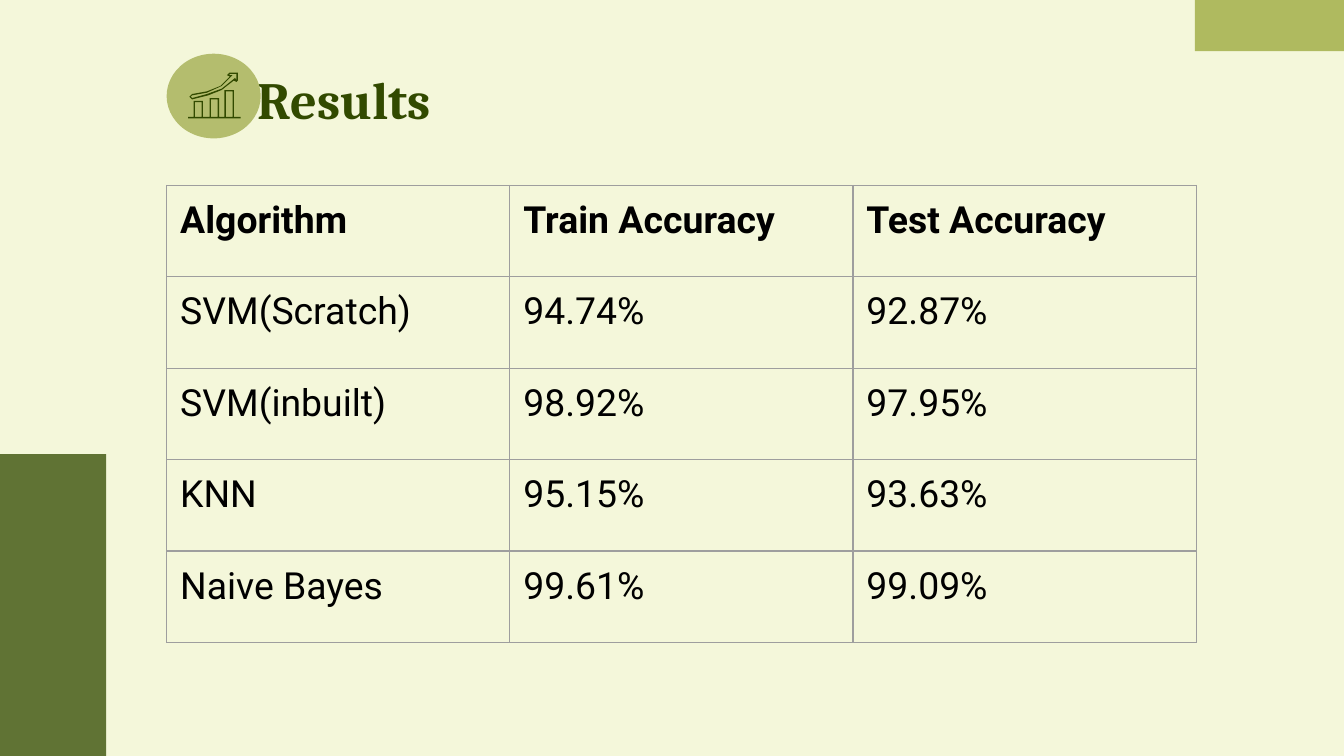
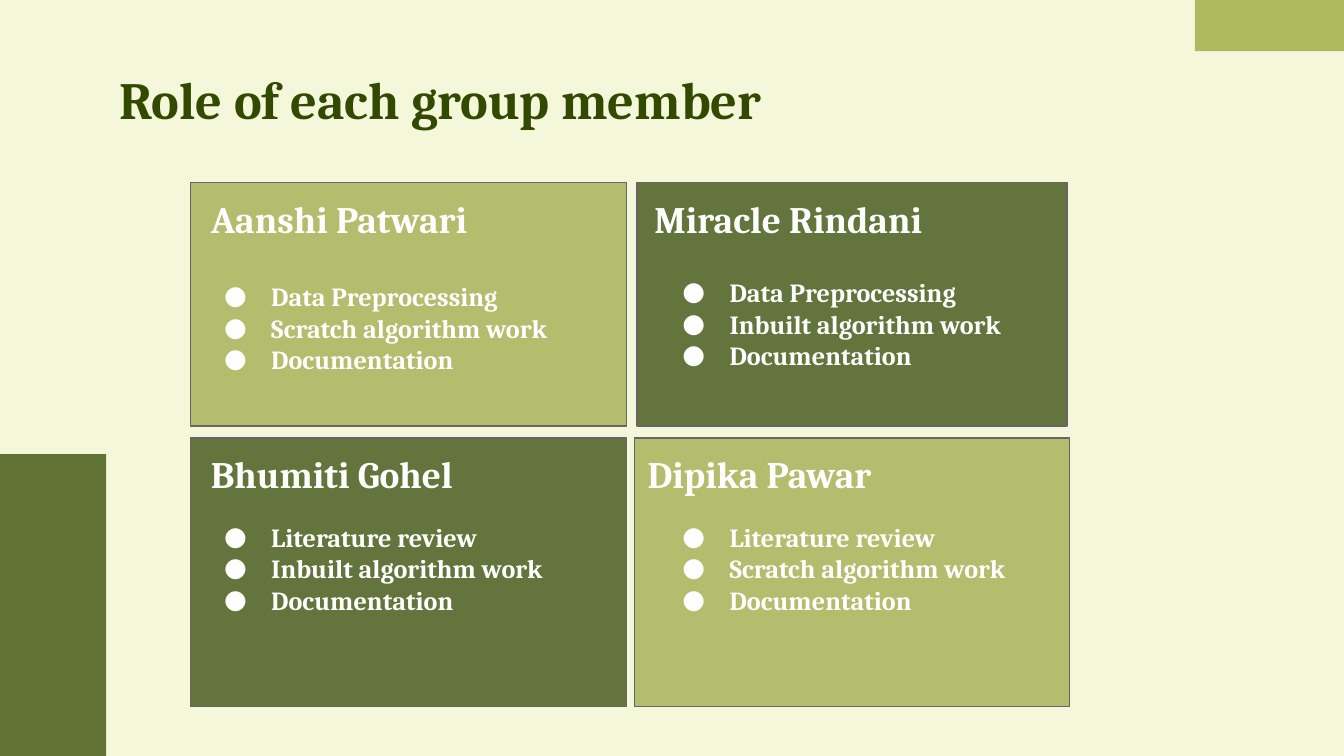
from lxml import etree
from pptx import Presentation
from pptx.dml.color import RGBColor
from pptx.enum.shapes import MSO_SHAPE
from pptx.oxml.ns import qn
from pptx.util import Inches, Pt

RECTANGLE, OVAL = MSO_SHAPE.RECTANGLE, MSO_SHAPE.OVAL

CREAM = RGBColor(0xF4, 0xF7, 0xDA)
DARK_GREEN = RGBColor(0x32, 0x4A, 0x00)
OLIVE = RGBColor(0x7C, 0x8C, 0x03)
LIGHT_CARD = RGBColor(0xB4, 0xBD, 0x6E)
DARK_CARD = RGBColor(0x63, 0x75, 0x3C)
CARD_LINE = RGBColor(0x66, 0x66, 0x66)
TABLE_LINE = RGBColor(0x9E, 0x9E, 0x9E)
WHITE = RGBColor(0xFF, 0xFF, 0xFF)
BLACK = RGBColor(0, 0, 0)

SERIF, SANS = "Cambria", "Roboto"
INSET = Inches(0.1)
PAGE_WIDTH = Inches(10)
PAGE_HEIGHT = PAGE_WIDTH * 9 // 16

RESULTS = [
    ("Algorithm", "Train Accuracy", "Test Accuracy"),
    ("SVM(Scratch)", "94.74%", "92.87%"),
    ("SVM(inbuilt)", "98.92%", "97.95%"),
    ("KNN", "95.15%", "93.63%"),
    ("Naive Bayes", "99.61%", "99.09%"),
]

# Each member: card frame, colour, left of name, left and top of tasks
MEMBERS = [
    ("Aanshi Patwari", (1.42, 1.36, 3.24, 1.81), LIGHT_CARD, 1.47, (1.42, 1.99),
     ("Data Preprocessing", "Scratch algorithm work", "Documentation")),
    ("Miracle Rindani", (4.74, 1.36, 3.2, 1.81), DARK_CARD, 4.77, (4.83, 1.96),
     ("Data Preprocessing", "Inbuilt algorithm work", "Documentation")),
    ("Bhumiti Gohel", (1.42, 3.26, 3.24, 2), DARK_CARD, 1.47, (1.42, 3.78),
     ("Literature review", "Inbuilt algorithm work", "Documentation")),
    ("Dipika Pawar", (4.72, 3.26, 3.24, 2), LIGHT_CARD, 4.72, (4.83, 3.78),
     ("Literature review", "Scratch algorithm work", "Documentation")),
]

# Growth icon: closed contours, in inches
BAR_BASE = 0.87
BARS = [(1.44, 0.75), (1.56, 0.73), (1.67, 0.67)]
ARROW_OUTER = [
    (1.77, 0.54), (1.71, 0.54), (1.69, 0.56), (1.71, 0.57), (1.64, 0.64),
    (1.54, 0.68), (1.43, 0.7), (1.41, 0.72), (1.43, 0.74), (1.55, 0.71),
    (1.65, 0.67), (1.74, 0.6), (1.76, 0.61), (1.77, 0.6),
]
ARROW_INNER = [
    (1.76, 0.55), (1.71, 0.55), (1.71, 0.56), (1.73, 0.56), (1.65, 0.64),
    (1.54, 0.69), (1.43, 0.71), (1.42, 0.72), (1.43, 0.73), (1.54, 0.7),
    (1.65, 0.66), (1.75, 0.58), (1.76, 0.6),
]


def add_block(page, kind, frame, color, line=None, opacity=None):
    block = page.shapes.add_shape(kind, *map(Inches, frame))
    block.shadow.inherit = False
    block.fill.solid()
    block.fill.fore_color.rgb = color
    if opacity is not None:
        tint = block.fill._xPr.find(qn("a:solidFill"))[0]
        etree.SubElement(tint, qn("a:alpha"), val=str(opacity * 1000))
    if line is None:
        block.line.fill.background()
    else:
        block.line.color.rgb = line
        block.line.width = Pt(0.75)


def set_insets(holder):
    holder.margin_left = holder.margin_right = INSET
    holder.margin_top = holder.margin_bottom = INSET


def add_span(para, text, font, size, color, bold=True):
    span = para.add_run()
    span.text = text
    span.font.name = font
    span.font.size = Pt(size)
    span.font.color.rgb = color
    span.font.bold = bold


def add_text(page, frame, lines, size, color, indent=0, bullets=False):
    box = page.shapes.add_textbox(*map(Inches, frame)).text_frame
    box.word_wrap = True
    set_insets(box)
    for number, line in enumerate(lines):
        para = box.add_paragraph() if number else box.paragraphs[0]
        props = para._p.get_or_add_pPr()
        props.set("marL", str(Inches(indent)))
        if bullets:
            props.set("indent", str(Inches(-0.35)))
            tint = etree.SubElement(props, qn("a:buClr"))
            etree.SubElement(tint, qn("a:srgbClr"), val=str(color))
            etree.SubElement(props, qn("a:buFont"), typeface=SERIF)
            etree.SubElement(props, qn("a:buChar"), char="●")
        add_span(para, line, SERIF, size, color)


def add_page(deck, title, indent=0):
    page = deck.slides.add_slide(deck.slide_layouts[6])
    page.background.fill.solid()
    page.background.fill.fore_color.rgb = CREAM
    add_block(page, RECTANGLE, (0, 3.38, 0.79, 2.25), DARK_GREEN, opacity=76)
    add_block(page, RECTANGLE, (8.89, 0, 1.11, 0.38), OLIVE, opacity=57)
    add_text(page, (0.79, 0.4, 8.42, 0.63), [title], 28, DARK_GREEN, indent)
    return page


def rectangle_points(left, top, right, bottom):
    return [(left, top), (right, top), (right, bottom), (left, bottom)]


def add_outline(page, contours, color):
    builder = None
    for contour in contours:
        points = [(Inches(x), Inches(y)) for x, y in contour]
        if builder is None:
            builder = page.shapes.build_freeform(*points[0])
        else:
            builder.move_to(*points[0])
        builder.add_line_segments(points[1:], close=True)
    outline = builder.convert_to_shape()
    outline.shadow.inherit = False
    outline.fill.solid()
    outline.fill.fore_color.rgb = color
    outline.line.fill.background()


def add_growth_icon(page):
    add_block(page, OVAL, (1.24, 0.4, 0.7, 0.63), LIGHT_CARD)
    contours = [rectangle_points(1.4, BAR_BASE, 1.79, BAR_BASE + 0.01)]
    for left, top in BARS:
        contours.append(rectangle_points(left, top, left + 0.07, BAR_BASE))
        contours.append(rectangle_points(left + 0.01, top + 0.01,
                                         left + 0.06, BAR_BASE))
    add_outline(page, contours, DARK_GREEN)
    add_outline(page, [ARROW_OUTER, ARROW_INNER], DARK_GREEN)


def add_borders(cell):
    props = cell._tc.get_or_add_tcPr()
    for side in ("lnL", "lnR", "lnT", "lnB"):
        line = etree.SubElement(props, qn(f"a:{side}"), w=str(Pt(0.75)))
        fill = etree.SubElement(line, qn("a:solidFill"))
        etree.SubElement(fill, qn("a:srgbClr"), val=str(TABLE_LINE))


def add_results_table(page):
    frame = page.shapes.add_table(len(RESULTS), len(RESULTS[0]), Inches(1.24),
                                  Inches(1.38), Inches(7.66), Inches(3.4))
    table = frame.table
    table.first_row = table.horz_banding = False
    for row, values in enumerate(RESULTS):
        for column, value in enumerate(values):
            cell = table.cell(row, column)
            set_insets(cell)
            add_borders(cell)
            cell.fill.background()
            add_span(cell.text_frame.paragraphs[0], value, SANS, 20, BLACK,
                     bold=row == 0)


def add_member(page, name, frame, color, name_left, tasks_at, tasks):
    add_block(page, RECTANGLE, frame, color, line=CARD_LINE)
    add_text(page, (name_left, frame[1], 3.13, 0.63), [name], 20, WHITE)
    add_text(page, (*tasks_at, 3.13, 0.63), tasks, 14, WHITE,
             indent=0.5, bullets=True)


def main():
    deck = Presentation()
    deck.slide_width, deck.slide_height = PAGE_WIDTH, PAGE_HEIGHT

    # Results
    page = add_page(deck, "Results", indent=1.03)
    add_results_table(page)
    add_growth_icon(page)

    # Group roles
    page = add_page(deck, "Role of each group member")
    for member in MEMBERS:
        add_member(page, *member)

    deck.save("out.pptx")


if __name__ == "__main__":
    main()
